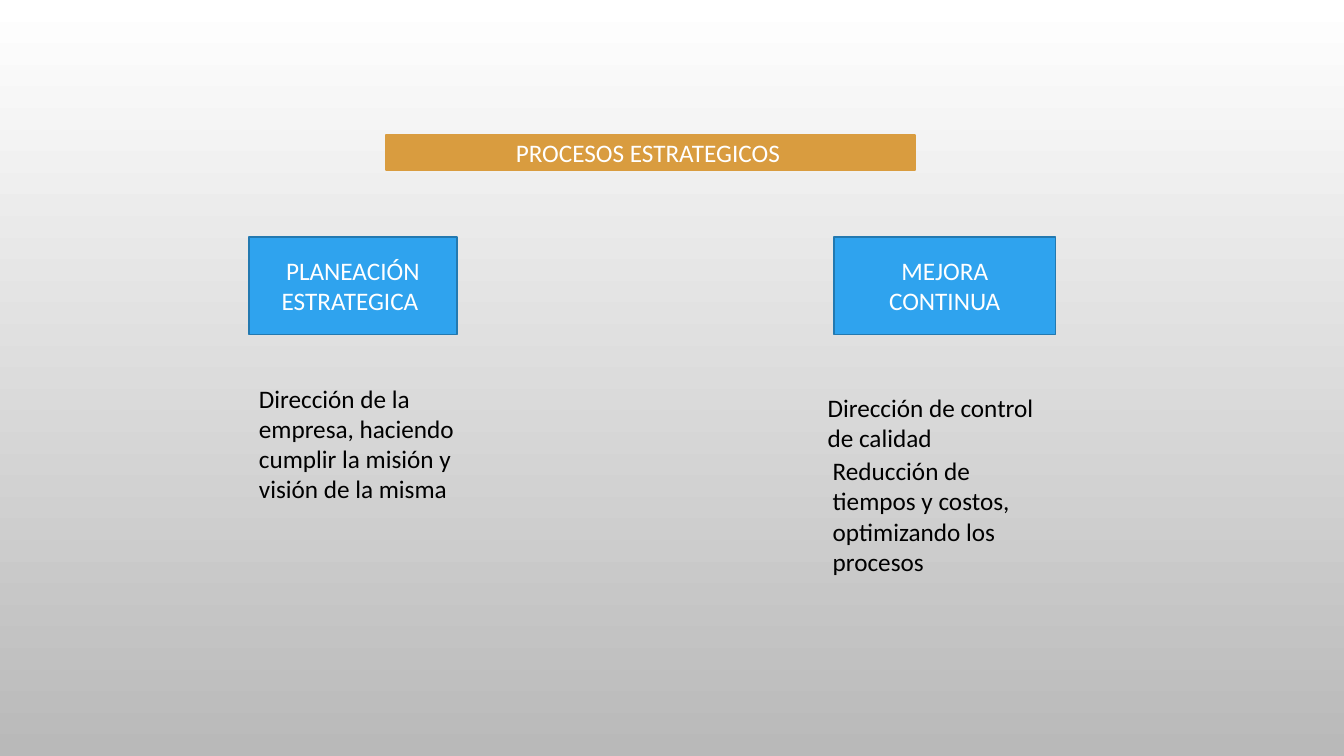
"""Build the strategic processes slide."""
from pptx import Presentation
from pptx import util as u
from pptx.dml.color import RGBColor
from pptx.enum import shapes, text

WHITE = RGBColor(0xFF, 0xFF, 0xFF)
BLACK = RGBColor(0x00, 0x00, 0x00)
GRAY = RGBColor(0xB9, 0xB9, 0xB9)
OCHRE = RGBColor(0xD9, 0x9C, 0x3F)
BLUE = RGBColor(0x2F, 0xA3, 0xEE)
DARK_BLUE = RGBColor(0x23, 0x79, 0xB0)

BOX_TOP, BOX_HEIGHT = 31.33, 12.93
LEFT_COLUMN = 18.53


def write_text(frame, wording, color=BLACK, align=text.PP_ALIGN.LEFT,
               anchor=text.MSO_ANCHOR.TOP, size=18, font="Calibri"):
    """Write one formatted paragraph into a text frame."""
    frame.word_wrap = True
    frame.vertical_anchor = anchor
    paragraph = frame.paragraphs[0]
    paragraph.alignment = align
    run = paragraph.add_run()
    run.text = wording
    run.font.name = font
    run.font.size = u.Pt(size)
    run.font.color.rgb = color


class SlideBuilder:
    """Hold the style and the slide; places are percentages of its size."""

    def __init__(self, presentation):
        """Add a blank slide to the presentation."""
        self.width = presentation.slide_width
        self.height = presentation.slide_height
        self.slide = presentation.slides.add_slide(presentation.slide_layouts[6])

    def place(self, left, top, width, height):
        """Turn percentages into lengths."""
        sides = (self.width, self.height) * 2
        return [round(side * share / 100)
                for side, share in zip(sides, (left, top, width, height))]

    def background(self, *colors):
        """Shade the background from top to bottom."""
        fill = self.slide.background.fill
        fill.gradient()
        fill.gradient_angle = 270
        for stop, color in zip(fill.gradient_stops, colors):
            stop.color.rgb = color

    def box(self, wording, *area, fill, line):
        """Add a filled rectangle with centred white text."""
        shape = self.slide.shapes.add_shape(
            shapes.MSO_SHAPE.RECTANGLE, *self.place(*area))
        shape.shadow.inherit = False
        shape.fill.solid()
        shape.fill.fore_color.rgb = fill
        shape.line.color.rgb = line
        shape.line.width = u.Pt(1.25)
        write_text(shape.text_frame, wording, color=WHITE,
                   align=text.PP_ALIGN.CENTER, anchor=text.MSO_ANCHOR.MIDDLE)

    def description(self, wording, *area):
        """Add a text box that grows with its text."""
        frame = self.slide.shapes.add_textbox(*self.place(*area)).text_frame
        write_text(frame, wording)
        frame.auto_size = text.MSO_AUTO_SIZE.SHAPE_TO_FIT_TEXT


presentation = Presentation()
presentation.slide_width = u.Inches(13.33)
presentation.slide_height = u.Inches(7.5)

builder = SlideBuilder(presentation)
builder.background(WHITE, GRAY)
builder.box("PROCESOS ESTRATEGICOS ", 28.73, 17.87, 39.38, 4.67,
            fill=OCHRE, line=OCHRE)

for wording, left, width in (
    ("PLANEACIÓN ESTRATEGICA ", LEFT_COLUMN, 15.45),
    ("MEJORA CONTINUA", 62.04, 16.5),
):
    builder.box(wording, left, BOX_TOP, width, BOX_HEIGHT,
                fill=BLUE, line=DARK_BLUE)

for wording, *area in (
    ("Reducción de tiempos y costos, optimizando los procesos ",
     61.22, 59.6, 18.15, 13.47),
    ("Dirección de control de calidad ", 60.84, 51.2, 18.9, 9.47),
    ("Dirección de la empresa, haciendo cumplir la misión y visión de la misma",
     LEFT_COLUMN, 50, 16.8, 17.47),
):
    builder.description(wording, *area)

presentation.save("out.pptx")
